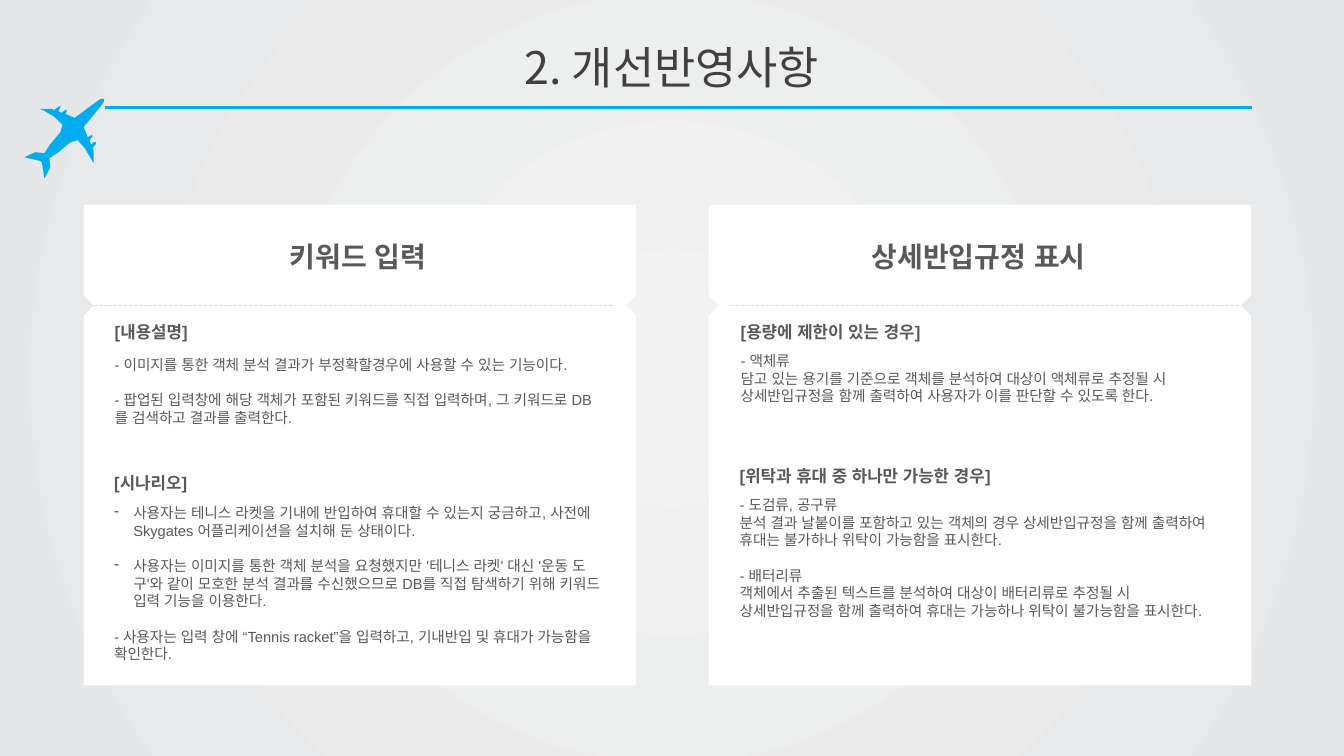
from dataclasses import dataclass

import pptx
import pptx.dml.color
import pptx.enum.dml
import pptx.enum.lang
import pptx.enum.shapes
import pptx.enum.text
import pptx.oxml
import pptx.oxml.ns
import pptx.util
from pptx.util import Pt

SHAPE = pptx.enum.shapes.MSO_SHAPE
ALIGN = pptx.enum.text.PP_ALIGN
ANCHOR = pptx.enum.text.MSO_ANCHOR
NS = pptx.oxml.ns.nsdecls("a")

SKY, WHITE, GREY, DARK, RULE = "00AEEF", "FFFFFF", "595959", "404040", "D9D9D9"
KOREAN_FONT, BODY_FONT = "Noto Sans CJK KR", "Arial"
LINE_RATIO = 1.2
BODY_SIZE = 10.5
BULLET_INDENT = 13.7
CARD_TOP, HEADER_HEIGHT, BODY_HEIGHT, SNIP = 146.2, 72, 271.4, 7.3

# Airplane outline, in hundredths of an inch
PLANE = [
    (97, 100), (74, 117), (65, 113), (66, 111), (66, 109), (65, 109), (62, 111),
    (61, 112), (57, 110), (58, 110), (60, 106), (60, 105), (58, 106), (55, 108),
    (54, 109), (51, 108), (39, 108), (44, 110), (54, 116), (62, 124), (60, 131),
    (50, 143), (44, 152), (35, 151), (24, 156), (37, 159), (41, 160), (42, 164),
    (44, 177), (50, 166), (49, 157), (58, 151), (70, 141), (77, 139), (84, 147),
    (90, 157), (93, 162), (93, 150), (92, 147), (93, 145), (95, 143), (95, 141),
    (93, 141), (91, 143), (90, 143), (89, 140), (89, 139), (92, 135), (91, 134),
    (87, 136), (83, 126), (101, 104), (103, 101), (103, 98), (100, 98),
]


@dataclass
class Line:
    text: str
    gap: bool = False  # one line of space before
    bullet: bool = False


@dataclass
class Section:
    left: float
    heading_top: float
    heading: str
    body_top: float
    body_width: float
    body_height: float
    lines: list[Line]


@dataclass
class Card:
    left: float
    width: float
    title: str
    title_left: float
    title_width: float
    rule_start: float
    rule_end: float
    sections: list[Section]


CARDS = [
    Card(59.8, 394.6, "키워드 입력", 95, 321.8, 67, 437.8, [
        Section(74.9, 226.1, "[내용설명]", 250.6, 364.3, 70.6, [
            Line("- 이미지를 통한 객체 분석 결과가 부정확할경우에 사용할 수 있는 기능이다."),
            Line("- 팝업된 입력창에 해당 객체가 포함된 키워드를 직접 입력하며, "
                 "그 키워드로 DB를 검색하고 결과를 출력한다.", gap=True),
        ]),
        Section(74.5, 334.1, "[시나리오]", 356.4, 362.9, 121.7, [
            Line("사용자는 테니스 라켓을 기내에 반입하여 휴대할 수 있는지 궁금하고, "
                 "사전에 Skygates 어플리케이션을 설치해 둔 상태이다.", bullet=True),
            Line("사용자는 이미지를 통한 객체 분석을 요청했지만 '테니스 라켓' 대신 "
                 "'운동 도구'와 같이 모호한 분석 결과를 수신했으므로 DB를 직접 "
                 "탐색하기 위해 키워드 입력 기능을 이용한다.", gap=True, bullet=True),
            Line("- 사용자는 입력 창에 “Tennis racket”을 입력하고, "
                 "기내반입 및 휴대가 가능함을 확인한다.", gap=True),
        ]),
    ]),
    Card(506.2, 387.4, "상세반입규정 표시", 571.7, 254.9, 522, 886.3, [
        Section(522, 226.1, "[용량에 제한이 있는 경우]", 247.7, 364.3, 45.4, [
            Line("- 액체류"),
            Line("담고 있는 용기를 기준으로 객체를 분석하여 대상이 액체류로 추정될 시 "
                 "상세반입규정을 함께 출력하여 사용자가 이를 판단할 수 있도록 한다."),
        ]),
        Section(521.3, 329, "[위탁과 휴대 중 하나만 가능한 경우]", 350.6, 363.6, 96.5, [
            Line("- 도검류, 공구류"),
            Line("분석 결과 날붙이를 포함하고 있는 객체의 경우 상세반입규정을 함께 "
                 "출력하여 휴대는 불가하나 위탁이 가능함을 표시한다."),
            Line("- 배터리류", gap=True),
            Line("객체에서 추출된 텍스트를 분석하여 대상이 배터리류로 추정될 시 "
                 "상세반입규정을 함께 출력하여 휴대는 가능하나 위탁이 불가능함을 표시한다."),
        ]),
    ]),
]


def color(hex_value: str) -> pptx.dml.color.RGBColor:
    return pptx.dml.color.RGBColor.from_string(hex_value)


def paint(shape, fill: str) -> None:
    shape.shadow.inherit = False
    shape.line.fill.background()
    shape.fill.solid()
    shape.fill.fore_color.rgb = color(fill)


def add_backdrop(slide) -> None:
    backdrop = slide.shapes.add_shape(SHAPE.RECTANGLE, 0, 0, Pt(960), Pt(540))
    paint(backdrop, WHITE)
    backdrop.fill.gradient()
    for stop, shade in zip(backdrop.fill.gradient_stops, ("F2F2F2", "E6E7E8")):
        stop.color.rgb = color(shade)
    # Radial gradient from the centre
    gradient = backdrop.element.spPr.find(pptx.oxml.ns.qn("a:gradFill"))
    gradient.remove(gradient.find(pptx.oxml.ns.qn("a:lin")))
    gradient.append(pptx.oxml.parse_xml(
        f'<a:path {NS} path="circle">'
        '<a:fillToRect l="50000" t="50000" r="50000" b="50000"/></a:path>'))


def add_plane(slide) -> None:
    outline = slide.shapes.build_freeform(*PLANE[0], scale=float(Pt(0.72)))
    outline.add_line_segments(PLANE[1:], close=True)
    paint(outline.convert_to_shape(), SKY)


def add_rule(slide, start: float, end: float, y: float, stroke: str,
             width: float, dashed: bool = False) -> None:
    rule = slide.shapes.add_connector(
        pptx.enum.shapes.MSO_CONNECTOR.STRAIGHT, Pt(start), Pt(y), Pt(end), Pt(y))
    rule.line.color.rgb = color(stroke)
    rule.line.width = Pt(width)
    if dashed:
        rule.line.dash_style = pptx.enum.dml.MSO_LINE.DASH
    rule.element.spPr.append(pptx.oxml.parse_xml(f"<a:effectLst {NS}/>"))


def add_panel(slide, left: float, top: float, width: float, height: float,
              rotation: float = 0) -> None:
    panel = slide.shapes.add_shape(
        SHAPE.SNIP_2_SAME_RECTANGLE, Pt(left), Pt(top), Pt(width), Pt(height))
    panel.adjustments[0] = SNIP / height
    panel.adjustments[1] = 0
    panel.rotation = rotation
    paint(panel, WHITE)


def add_text(slide, left: float, top: float, width: float, height: float,
             lines: list[Line], size: float, font: str = BODY_FONT,
             ink: str = GREY, bold: bool = False, align=ALIGN.LEFT,
             anchor=ANCHOR.TOP, spacing=None) -> None:
    frame = slide.shapes.add_textbox(
        Pt(left), Pt(top), Pt(width), Pt(height)).text_frame
    frame.word_wrap = True
    frame.vertical_anchor = anchor
    for index, line in enumerate(lines):
        paragraph = frame.paragraphs[0] if index == 0 else frame.add_paragraph()
        paragraph.text = line.text
        paragraph.alignment = align
        paragraph.line_spacing = spacing or Pt(size * LINE_RATIO)
        if line.gap:
            paragraph.space_before = Pt(size * LINE_RATIO)
        if line.bullet:
            properties = paragraph._p.get_or_add_pPr()
            properties.set("marL", str(Pt(BULLET_INDENT)))
            properties.set("indent", str(-Pt(BULLET_INDENT)))
            properties.append(pptx.oxml.parse_xml(f'<a:buChar {NS} char="-"/>'))
        for run in paragraph.runs:
            run.font.size = Pt(size)
            run.font.bold = bold
            run.font.color.rgb = color(ink)
            run.font.name = font
            run.font.language_id = pptx.enum.lang.MSO_LANGUAGE_ID.KOREAN
            run.font._element.append(
                pptx.oxml.parse_xml(f'<a:ea {NS} typeface="{font}"/>'))


def add_card(slide, card: Card) -> None:
    seam = CARD_TOP + HEADER_HEIGHT
    add_panel(slide, card.left, CARD_TOP, card.width, HEADER_HEIGHT, rotation=180)
    add_panel(slide, card.left, seam, card.width, BODY_HEIGHT)
    add_rule(slide, card.rule_start, card.rule_end, seam, RULE, 0.5, dashed=True)
    add_text(slide, card.title_left, 167.8, card.title_width, 31.7,
             [Line(card.title)], 20, KOREAN_FONT, bold=True, align=ALIGN.CENTER)
    for section in card.sections:
        add_text(slide, section.left, section.heading_top, 364.3, 21.6,
                 [Line(section.heading)], 12, bold=True)
        add_text(slide, section.left, section.body_top, section.body_width,
                 section.body_height, section.lines, BODY_SIZE)


def main() -> None:
    deck = pptx.Presentation()
    deck.slide_width, deck.slide_height = Pt(960), Pt(540)
    slide = deck.slides.add_slide(deck.slide_layouts[6])

    # Backdrop and title
    add_backdrop(slide)
    add_plane(slide)
    add_rule(slide, 74.9, 894.2, 76.5, SKY, 2.25)
    add_text(slide, 66, 22.3, 828, 54.7, [Line("2. 개선반영사항")], 32, KOREAN_FONT,
             DARK, align=ALIGN.CENTER, anchor=ANCHOR.MIDDLE, spacing=0.9)

    # Cards
    for card in CARDS:
        add_card(slide, card)
    deck.save("out.pptx")


if __name__ == "__main__":
    main()
